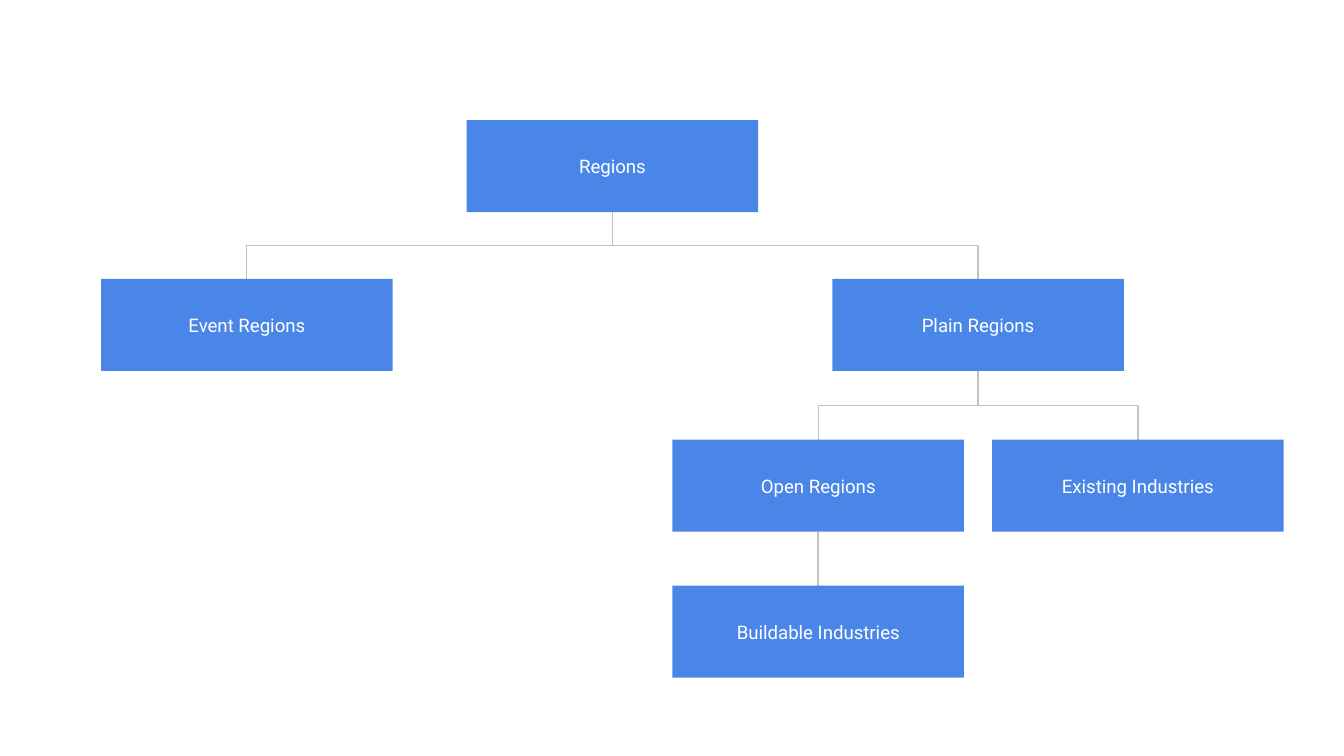
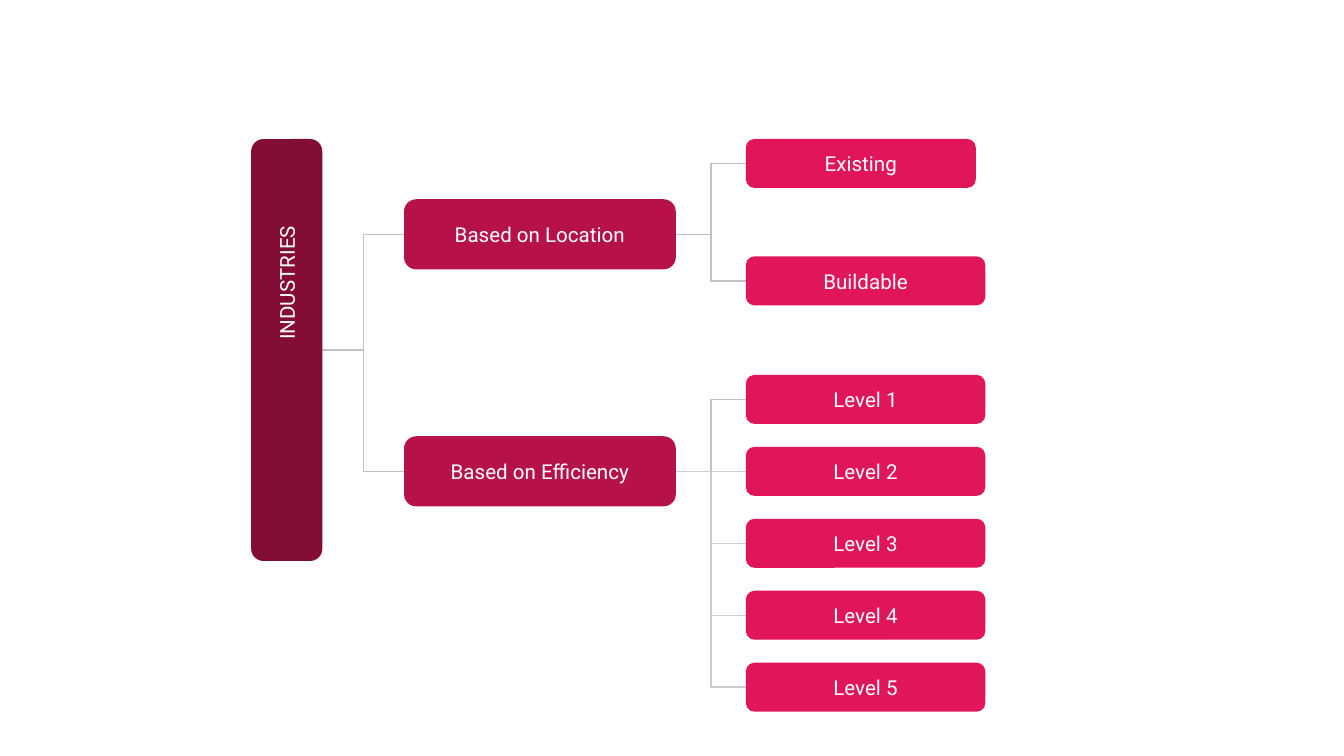
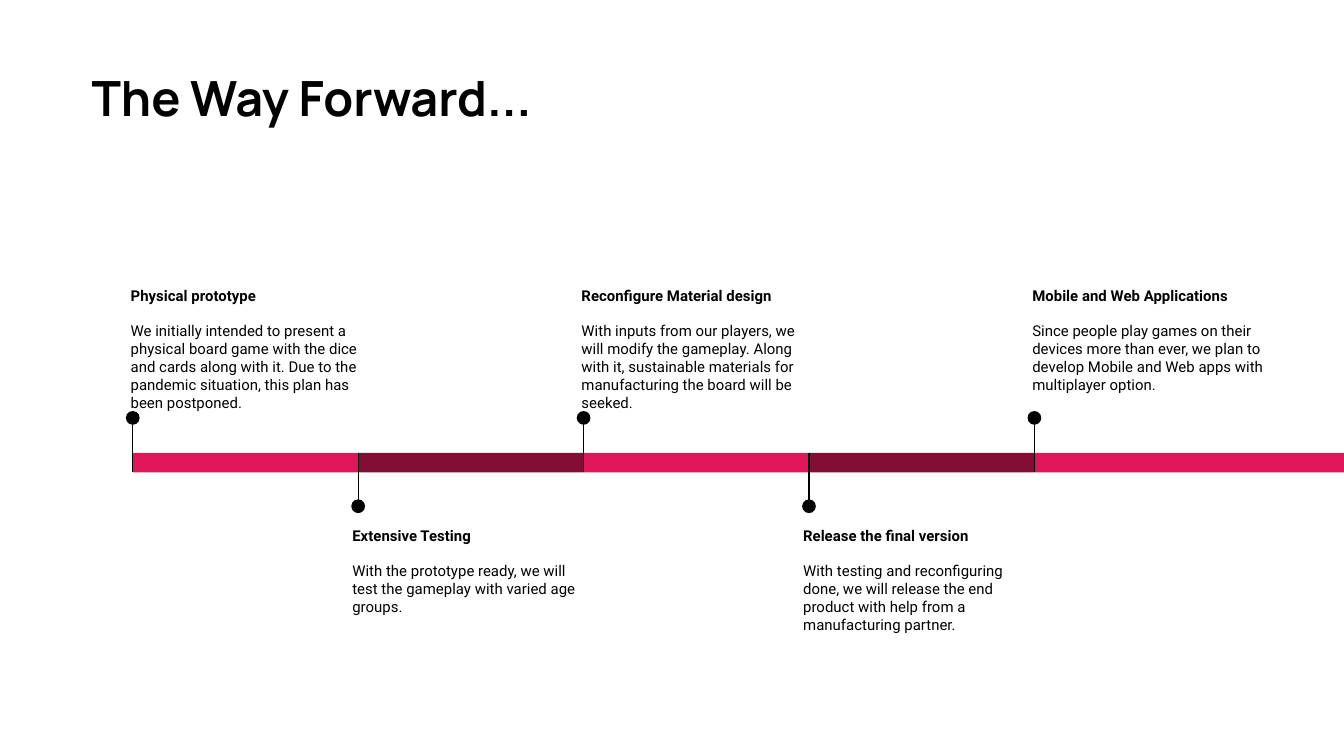
from dataclasses import dataclass

from lxml import etree
from pptx import Presentation
from pptx import util as u
from pptx.dml.color import RGBColor
from pptx.enum import shapes, text as txt
from pptx.oxml.ns import qn
from pptx.shapes.autoshape import Shape
from pptx.shapes.connector import Connector
from pptx.shapes.shapetree import _BaseGroupShapes as ShapeTree
from pptx.slide import Slide
from pptx.text.text import TextFrame

WHITE = RGBColor(0xFF, 0xFF, 0xFF)
BLACK = RGBColor(0x00, 0x00, 0x00)
BLUE = RGBColor(0x4A, 0x86, 0xE8)
WINE = RGBColor(0x84, 0x0D, 0x35)
CRIMSON = RGBColor(0xB6, 0x12, 0x49)
PINK = RGBColor(0xE1, 0x16, 0x5A)
GREY = RGBColor(0xC2, 0xC2, 0xC2)
LIGHT_GREY = RGBColor(0xCC, 0xCC, 0xCC)

BODY_FONT = "Roboto"
TITLE_FONT = "Manrope"
SLIDE_WIDTH, SLIDE_HEIGHT = 25.4, 14.29
INSET = 0.25
HAIRLINE = u.Pt(0.75)
TITLE_ONLY, BLANK = 5, 6

Point = tuple[float, float]


@dataclass(frozen=True)
class Node:
    """A labelled box of a tree; lengths in centimetres."""
    label: str
    left: float
    top: float
    width: float
    height: float
    fill: RGBColor

    @property
    def centre(self) -> Point:
        return self.left + self.width / 2, self.top + self.height / 2

    @property
    def upper(self) -> Point:
        return self.centre[0], self.top

    @property
    def lower(self) -> Point:
        return self.centre[0], self.top + self.height

    @property
    def west(self) -> Point:
        return self.left, self.centre[1]

    @property
    def east(self) -> Point:
        return self.left + self.width, self.centre[1]


@dataclass(frozen=True)
class Milestone:
    heading: str
    detail: str


MILESTONES = [
    Milestone("Physical prototype",
              "We initially intended to present a physical board game with the dice and cards "
              "along with it. Due to the pandemic situation, this plan has been postponed."),
    Milestone("Extensive Testing",
              "With the prototype ready, we will test the gameplay with varied age groups."),
    Milestone("Reconfigure Material design",
              "With inputs from our players, we will modify the gameplay. Along with it, "
              "sustainable materials for manufacturing the board will be seeked."),
    Milestone("Release the final version",
              "With testing and reconfiguring done, we will release the end product with help "
              "from a manufacturing partner."),
    Milestone("Mobile and Web Applications",
              "Since people play games on their devices more than ever, we plan to develop "
              "Mobile and Web apps with multiplayer option."),
]


def prepare_frame(frame: TextFrame, anchor: txt.MSO_ANCHOR) -> None:
    frame.word_wrap = True
    frame.auto_size = txt.MSO_AUTO_SIZE.NONE
    frame.vertical_anchor = anchor
    frame.margin_left = frame.margin_right = u.Cm(INSET)
    frame.margin_top = frame.margin_bottom = u.Cm(INSET)


def write(frame: TextFrame, words: str, *, size: float, color: RGBColor = BLACK,
          font: str = BODY_FONT, bold: bool = False, before: float = 0,
          align: txt.PP_ALIGN = txt.PP_ALIGN.LEFT) -> None:
    """Fill the first paragraph of the frame, or add one when it is taken."""
    paragraph = frame.add_paragraph() if frame.text else frame.paragraphs[0]
    paragraph.alignment = align
    if before:
        paragraph.space_before = u.Pt(before)
    run = paragraph.add_run()
    run.text = words
    run.font.name, run.font.size, run.font.bold = font, u.Pt(size), bold
    run.font.color.rgb = color


def add_solid(tree: ShapeTree, kind: shapes.MSO_SHAPE, left: float, top: float,
              width: float, height: float, fill: RGBColor) -> Shape:
    solid = tree.add_shape(kind, u.Cm(left), u.Cm(top), u.Cm(width), u.Cm(height))
    solid.shadow.inherit = False
    solid.fill.solid()
    solid.fill.fore_color.rgb = fill
    solid.line.fill.background()
    return solid


def add_line(tree: ShapeTree, kind: shapes.MSO_CONNECTOR, start: Point, end: Point,
             color: RGBColor) -> Connector:
    line = tree.add_connector(kind, *(u.Cm(value) for value in (*start, *end)))
    line.line.color.rgb = color
    line.line.width = HAIRLINE
    etree.SubElement(line._element.spPr, qn("a:effectLst"))
    return line


def join_across(slide: Slide, parent: Node, child: Node, color: RGBColor = GREY) -> None:
    add_line(slide.shapes, shapes.MSO_CONNECTOR.ELBOW, parent.east, child.west, color)


def join_down(slide: Slide, parent: Node, child: Node) -> None:
    """Elbow that leaves downwards: a sideways elbow given a quarter turn."""
    ends = sorted([parent.lower, child.upper])
    mid_x, mid_y = (sum(values) / 2 for values in zip(*ends))
    start, end = ((mid_x - (y - mid_y), mid_y + (x - mid_x)) for x, y in ends)
    elbow = add_line(slide.shapes, shapes.MSO_CONNECTOR.ELBOW, start, end, GREY)
    elbow._element.spPr.xfrm.set("rot", str(270 * 60000))


def draw_node(slide: Slide, node: Node, *, size: float, rounded: bool = False,
              upright: bool = False) -> Shape:
    """Draw a box; an upright one has its text running upwards."""
    kind = shapes.MSO_SHAPE.ROUNDED_RECTANGLE if rounded else shapes.MSO_SHAPE.RECTANGLE
    width, height = (node.height, node.width) if upright else (node.width, node.height)
    x, y = node.centre
    box = add_solid(slide.shapes, kind, x - width / 2, y - height / 2, width, height, node.fill)
    if rounded:
        box.adjustments[0] = 0.167
        box.line.color.rgb = node.fill
        box.line.width = HAIRLINE
    if upright:
        box.rotation = 270
    prepare_frame(box.text_frame, txt.MSO_ANCHOR.MIDDLE)
    write(box.text_frame, node.label, size=size, color=WHITE, align=txt.PP_ALIGN.CENTER)
    return box


def build_regions(slide: Slide) -> None:
    def region(label: str, left: float, top: float) -> Node:
        return Node(label, left, top, 5.51, 1.74, BLUE)

    regions = region("Regions", 8.82, 2.27)
    event = region("Event Regions", 1.91, 5.27)
    plain = region("Plain Regions", 15.73, 5.27)
    existing = region("Existing Industries", 18.75, 8.31)
    open_regions = region("Open Regions", 12.71, 8.31)
    buildable = region("Buildable Industries", 12.71, 11.07)

    for parent, child in [(regions, plain), (regions, event), (plain, existing),
                          (plain, open_regions), (open_regions, buildable)]:
        join_down(slide, parent, child)
    for node in (regions, event, plain, existing, open_regions, buildable):
        draw_node(slide, node, size=10)


def build_industries(slide: Slide) -> None:
    def branch(label: str, top: float) -> Node:
        return Node(label, 7.65, top, 5.11, 1.3, CRIMSON)

    def leaf(label: str, top: float, width: float = 4.5) -> Node:
        return Node(label, 14.11, top, width, 0.9, PINK)

    industries = Node("INDUSTRIES", 4.76, 2.64, 1.32, 7.95, WINE)
    location = branch("Based on Location", 3.78)
    efficiency = branch("Based on Efficiency", 8.26)
    places = [leaf("Existing", 2.64, 4.32), leaf("Buildable", 4.86)]
    levels = [leaf(f"Level {i + 1}", 7.1 + 1.36 * i) for i in range(5)]

    for child in (efficiency, location):
        join_across(slide, industries, child)
    for place in places:
        join_across(slide, location, place)
    for i, level in enumerate(levels):
        join_across(slide, efficiency, level, LIGHT_GREY if i else GREY)

    bar = draw_node(slide, industries, size=11, rounded=True, upright=True)
    bar.text_frame.margin_left = u.Cm(INSET + 2.54)
    for node in (location, efficiency, *places, *levels):
        draw_node(slide, node, size=11, rounded=True)


def draw_milestone(slide: Slide, index: int, milestone: Milestone) -> None:
    """Draw one stretch of the timeline; even ones point up, odd ones down."""
    start, pitch, dot = 2.51, 4.26, 0.26
    band_top, band_height = 8.56, 0.37
    x = start + pitch * index
    above = index % 2 == 0
    last = index == len(MILESTONES) - 1
    tip, foot = (7.9, band_top + band_height) if above else (9.57, band_top)
    note_left, note_top = (x - 0.29, 5.16) if above else (x - 0.36, 9.7)

    tree = slide.shapes.add_group_shape().shapes
    add_solid(tree, shapes.MSO_SHAPE.RECTANGLE, x, band_top,
              SLIDE_WIDTH - x if last else pitch, band_height, PINK if above else WINE)
    add_line(tree, shapes.MSO_CONNECTOR.STRAIGHT, (x, tip), (x, foot), BLACK)
    add_solid(tree, shapes.MSO_SHAPE.OVAL, x - dot / 2, tip - dot / 2, dot, dot, BLACK)

    note = tree.add_textbox(u.Cm(note_left), u.Cm(note_top), u.Cm(4.95), u.Cm(2.62)).text_frame
    prepare_frame(note, txt.MSO_ANCHOR.TOP)
    write(note, milestone.heading, size=8, bold=True)
    write(note, milestone.detail, size=8, before=9.5)


def build_way_forward(slide: Slide) -> None:
    for index, milestone in enumerate(MILESTONES):
        draw_milestone(slide, index, milestone)
    title = slide.shapes.title
    title.left, title.top = u.Cm(1.48), u.Cm(1.04)
    title.width, title.height = u.Cm(22.83), u.Cm(1.88)
    prepare_frame(title.text_frame, txt.MSO_ANCHOR.TOP)
    write(title.text_frame, "The Way Forward...", size=26, font=TITLE_FONT, bold=True)


def main() -> None:
    deck = Presentation()
    deck.slide_width, deck.slide_height = u.Cm(SLIDE_WIDTH), u.Cm(SLIDE_HEIGHT)
    for build, layout in [(build_regions, BLANK), (build_industries, BLANK),
                          (build_way_forward, TITLE_ONLY)]:
        build(deck.slides.add_slide(deck.slide_layouts[layout]))
    deck.save("out.pptx")


if __name__ == "__main__":
    main()
